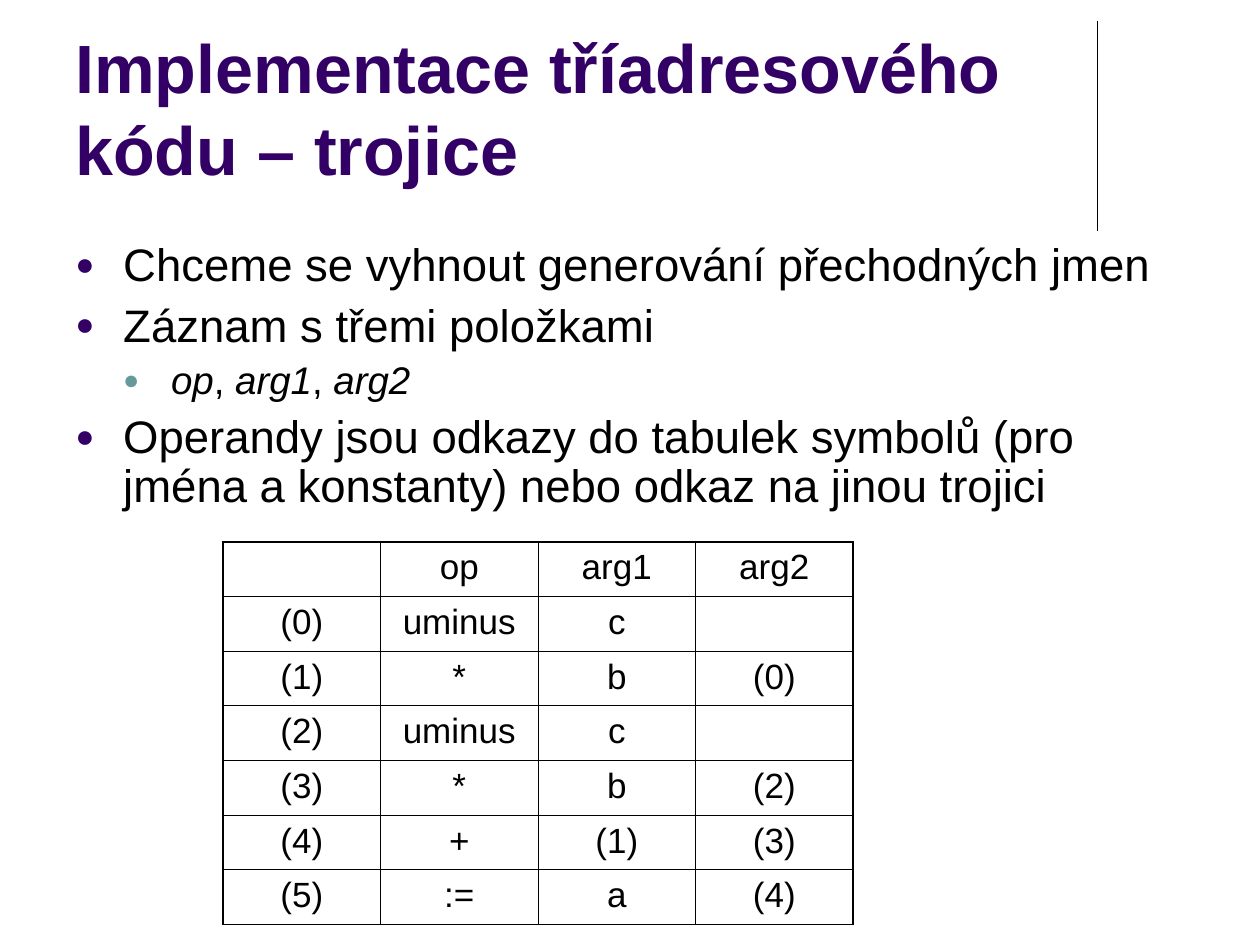
import pptx
import pptx.util
import pptx.dml.color
import pptx.enum.shapes
import pptx.enum.text
import pptx.oxml.ns
import lxml.etree

WIDE, HIGH = 10, 7.5
FONT, INK, PLUM, TEAL = "Arial", "000000", "330066", "669999"
THICK, THIN = 1.08, 0.45

TITLE = "Implementace tříadresového kódu – trojice"
POINTS = [
    (0, [("Chceme se vyhnout generování přechodných jmen", False)]),
    (0, [("Záznam s třemi položkami", False)]),
    (1, [("op", True), (", ", False), ("arg1", True), (", ", False), ("arg2", True)]),
    (0, [("Operandy jsou odkazy do tabulek symbolů (pro jména a konstanty) "
          "nebo odkaz na jinou trojici", False)]),
]
LEVELS = [dict(size=26, before=6.5, dot=PLUM), dict(size=22, before=5.5, dot=TEAL)]
TRIPLES = [
    ("", "op", "arg1", "arg2"),
    ("(0)", "uminus", "c", ""),
    ("(1)", "*", "b", "(0)"),
    ("(2)", "uminus", "c", ""),
    ("(3)", "*", "b", "(2)"),
    ("(4)", "+", "(1)", "(3)"),
    ("(5)", ":=", "a", "(4)"),
]


def inch(size):
    return pptx.util.Inches(size)


def tint(code):
    return pptx.dml.color.RGBColor.from_string(code)


def node(home, tag, **attrs):
    item = lxml.etree.SubElement(home, pptx.oxml.ns.qn(tag))
    for name, value in attrs.items():
        item.set(name, str(value))
    return item


def write(para, text, size=20, color=INK, bold=False, italic=False):
    run = para.add_run()
    run.text = text
    font = run.font
    font.name, font.size, font.bold, font.italic = FONT, pptx.util.Pt(size), bold, italic
    font.color.rgb = tint(color)


def frame(slide, left, top, width, height):
    text = slide.shapes.add_textbox(*map(inch, (left, top, width, height))).text_frame
    text.word_wrap = True
    return text


def bullet(para, level, dot):
    para.level = level
    props = para._p.get_or_add_pPr()
    props.set("marL", str(inch(0.38 * (level + 1))))
    props.set("indent", str(inch(-0.38)))
    node(node(props, "a:buClr"), "a:srgbClr", val=dot)
    node(props, "a:buSzPct", val=70000)
    node(props, "a:buFont", typeface=FONT)
    node(props, "a:buChar", char="●")


def border(cell, sides):
    props = cell._tc.get_or_add_tcPr()
    for side, width in sides.items():
        line = node(props, "a:ln" + side, w=pptx.util.Pt(width))
        node(node(line, "a:solidFill"), "a:srgbClr", val=INK)
    cell.fill.background()


def grid(slide, left, top, wide, high):
    rows, cols = len(TRIPLES), len(TRIPLES[0])
    table = slide.shapes.add_table(
        rows, cols, inch(left), inch(top), inch(wide * cols), inch(high * rows)).table
    table.first_row = table.horz_banding = False
    for r, row in enumerate(TRIPLES):
        for c, text in enumerate(row):
            cell = table.cell(r, c)
            border(cell, {
                "L": THICK if c == 0 else THIN,
                "R": THICK if c == cols - 1 else THIN,
                "T": THICK if r in (0, 1) else THIN,
                "B": THICK if r in (0, rows - 1) else THIN,
            })
            para = cell.text_frame.paragraphs[0]
            para.alignment = pptx.enum.text.PP_ALIGN.CENTER
            para.space_before = pptx.util.Pt(5)
            if text:
                write(para, text)


def main():
    """Build the slide on three-address code triples."""
    deck = pptx.Presentation()
    deck.slide_width, deck.slide_height = inch(WIDE), inch(HIGH)
    slide = deck.slides.add_slide(deck.slide_layouts[6])

    rule = slide.shapes.add_connector(
        pptx.enum.shapes.MSO_CONNECTOR.STRAIGHT,
        *map(inch, (WIDE * 0.871, 0.17, WIDE * 0.871, 1.83)))
    rule.line.color.rgb = tint(INK)
    rule.line.width = pptx.util.Pt(0.75)
    node(rule._element.spPr, "a:effectLst")

    title = frame(slide, WIDE * 0.05, 0.13, WIDE * 0.825, 1.42)
    title.vertical_anchor = pptx.enum.text.MSO_ANCHOR.BOTTOM
    write(title.paragraphs[0], TITLE, size=39, color=PLUM, bold=True)

    body = frame(slide, WIDE * 0.05, HIGH * 0.25, WIDE * 0.9, 2.26)
    for n, (level, parts) in enumerate(POINTS):
        para = body.add_paragraph() if n else body.paragraphs[0]
        style = LEVELS[level]
        para.line_spacing = 0.9
        para.space_before = pptx.util.Pt(style["before"])
        bullet(para, level, style["dot"])
        for text, slant in parts:
            write(para, text, size=style["size"], italic=slant)

    grid(slide, 1.77, 4.3, WIDE / 8, 0.43)
    deck.save("out.pptx")


if __name__ == "__main__":
    main()
